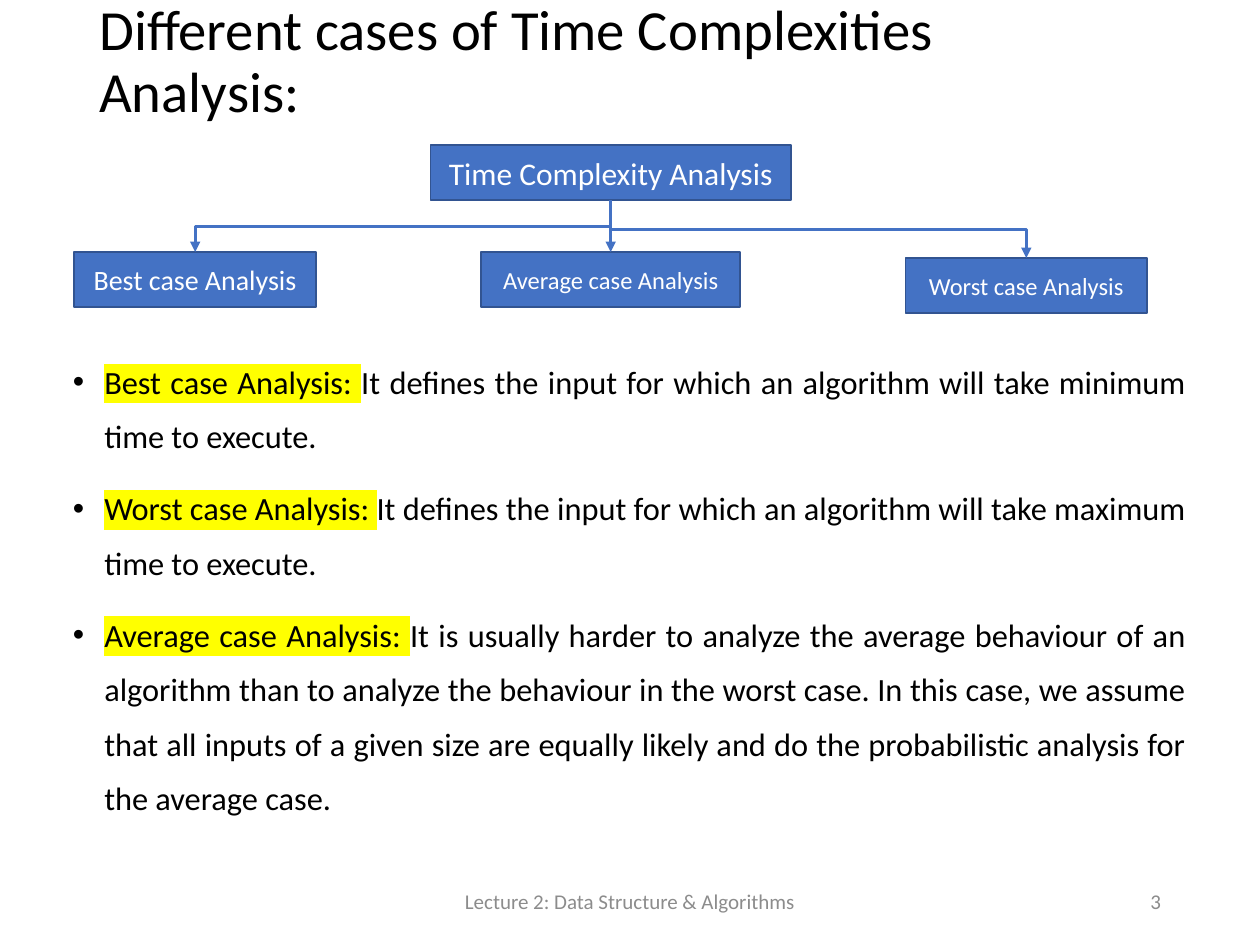
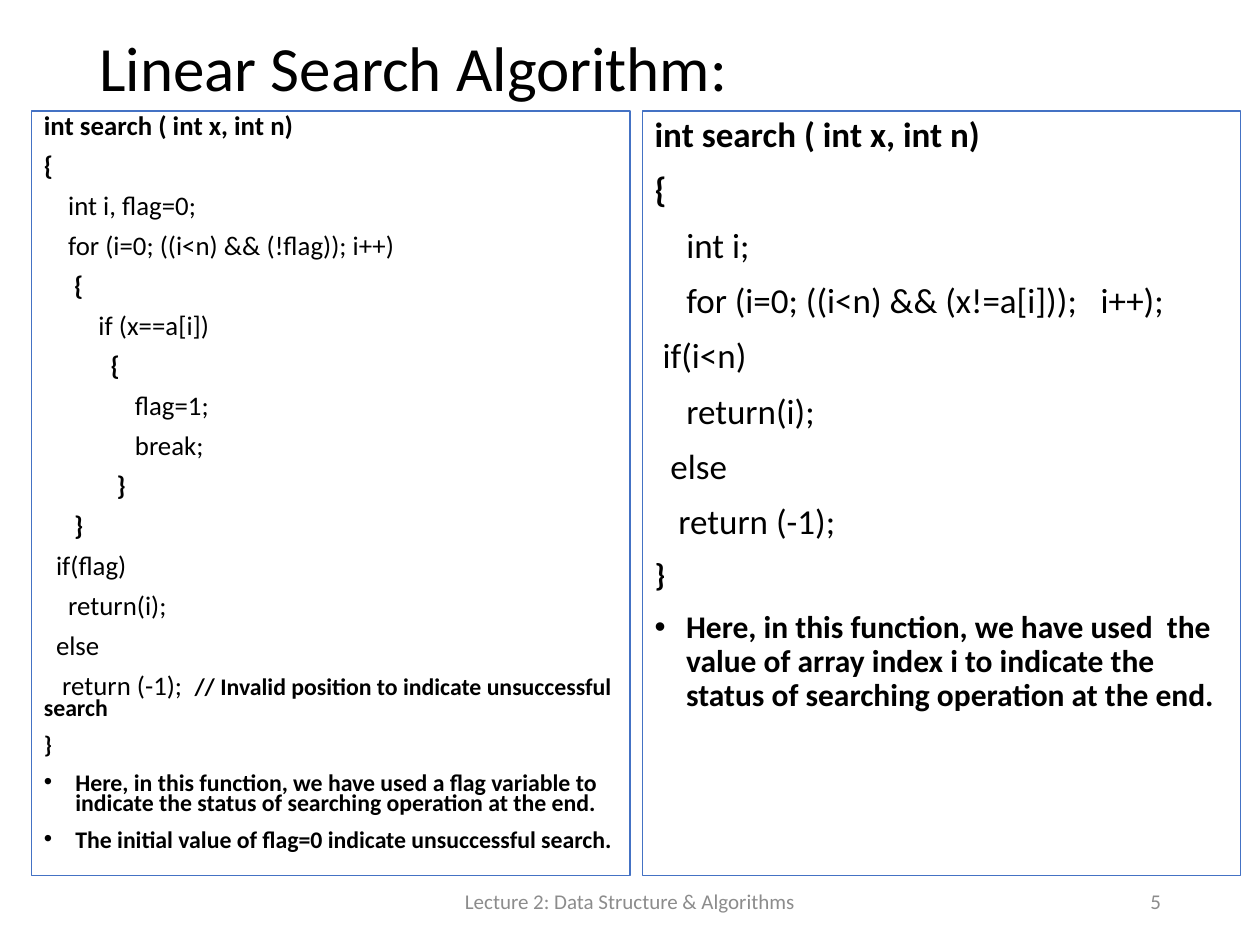
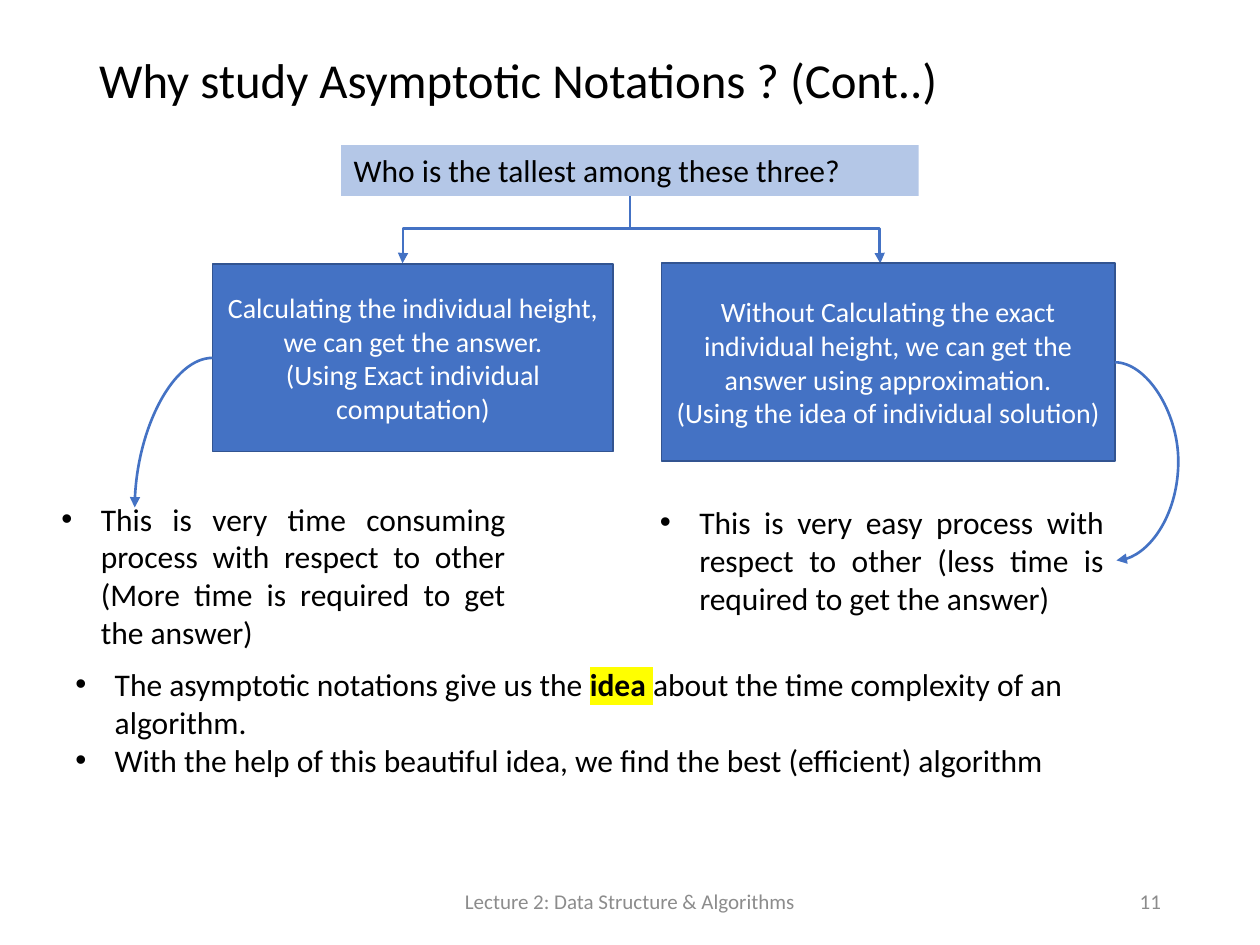
from dataclasses import dataclass
from typing import NamedTuple, Optional

from lxml.etree import SubElement
from pptx import Presentation
from pptx.dml.color import RGBColor
from pptx.enum.shapes import MSO_CONNECTOR, MSO_SHAPE
from pptx.enum.text import MSO_ANCHOR, MSO_AUTO_SIZE, PP_ALIGN
from pptx.oxml.ns import qn
from pptx.util import Pt

FONT = "Calibri"
BLACK = RGBColor(0x00, 0x00, 0x00)
WHITE = RGBColor(0xFF, 0xFF, 0xFF)
GRAY = RGBColor(0x8C, 0x8C, 0x8C)
BLUE = RGBColor(0x44, 0x72, 0xC4)
DARK_BLUE = RGBColor(0x32, 0x54, 0x91)
PALE_BLUE = RGBColor(0xB4, 0xC7, 0xE7)
YELLOW = RGBColor(0xFF, 0xFF, 0x00)
FOOTER = "Lecture 2: Data Structure & Algorithms"
TITLE_ONLY = 5
TOP, LEFT, BOTTOM, RIGHT = range(4)


class Box(NamedTuple):
    """Position and size in points."""
    x: float
    y: float
    w: float
    h: float


class Run(NamedTuple):
    """A piece of text with its own emphasis."""
    text: str
    bold: bool = False
    marked: bool = False
    size: Optional[float] = None


class Para(NamedTuple):
    """A paragraph made of runs."""
    runs: tuple
    bullet: bool = False


@dataclass(frozen=True)
class Style:
    """Look shared by the paragraphs of one text frame."""
    size: float
    color: RGBColor = BLACK
    align: PP_ALIGN = PP_ALIGN.LEFT
    anchor: MSO_ANCHOR = MSO_ANCHOR.TOP
    spacing: float = 1.0
    before: float = 0
    hang: float = 18


@dataclass(frozen=True)
class Node:
    """A filled box of a diagram."""
    box: Box
    lines: tuple
    size: float


@dataclass(frozen=True)
class Route:
    """A bent or curved arrow between two points."""
    begin: tuple
    end: tuple
    preset: str
    weight: float = 1.5
    upright: bool = False
    turn: Optional[float] = None


def plain(*texts, bold=False, bullet=False, size=None):
    """Make one single-run paragraph per text."""
    return [Para((Run(t, bold, size=size),), bullet) for t in texts]


def write(tf, paras, style: Style):
    """Fill a text frame run by run."""
    tf.word_wrap = True
    tf.auto_size = MSO_AUTO_SIZE.NONE
    tf.vertical_anchor = style.anchor
    for i, para in enumerate(paras):
        p = tf.paragraphs[0] if i == 0 else tf.add_paragraph()
        if para.bullet:
            pPr = p._p.get_or_add_pPr()
            pPr.set("marL", str(Pt(style.hang)))
            pPr.set("indent", str(-Pt(style.hang)))
            SubElement(pPr, qn("a:buFont")).set("typeface", "Arial")
            SubElement(pPr, qn("a:buChar")).set("char", "•")
        p.alignment = style.align
        p.line_spacing = style.spacing
        p.space_before = Pt(style.before if i else 0)
        for run in para.runs:
            r = p.add_run()
            r.text = run.text
            r.font.name = FONT
            r.font.size = Pt(run.size or style.size)
            r.font.bold = run.bold
            r.font.color.rgb = style.color
            if run.marked:
                rPr = r._r.get_or_add_rPr()
                mark = SubElement(rPr, qn("a:highlight"))
                SubElement(mark, qn("a:srgbClr")).set("val", str(YELLOW))
                rPr.find(qn("a:latin")).addprevious(mark)


def add_text(s, box: Box, paras, style: Style):
    """Add a wrapped text box."""
    sp = s.shapes.add_textbox(*map(Pt, box))
    write(sp.text_frame, paras, style)
    return sp


def add_rect(s, box: Box, paras, style: Style, fill=None, line=None, weight=1):
    """Add a rectangle holding text."""
    sp = s.shapes.add_shape(MSO_SHAPE.RECTANGLE, *map(Pt, box))
    sp.shadow.inherit = False
    if fill is None:
        sp.fill.background()
    else:
        sp.fill.solid()
        sp.fill.fore_color.rgb = fill
    if line is None:
        sp.line.fill.background()
    else:
        sp.line.color.rgb = line
        sp.line.width = Pt(weight)
    write(sp.text_frame, paras, style)
    return sp


def add_node(s, node: Node):
    """Add a blue diagram box."""
    style = Style(node.size, WHITE, PP_ALIGN.CENTER, MSO_ANCHOR.MIDDLE)
    return add_rect(s, node.box, plain(*node.lines), style, BLUE, DARK_BLUE)


def format_line(c, weight: float, arrow: bool = True):
    """Colour a connector and give it its arrowhead."""
    c.line.color.rgb = BLUE
    c.line.width = Pt(weight)
    if arrow:
        SubElement(c.line._get_or_add_ln(), qn("a:tailEnd")).set("type", "triangle")
    SubElement(c._element.spPr, qn("a:effectLst"))


def add_straight(s, begin, end, weight: float, arrow: bool = True):
    """Add a straight connector."""
    c = s.shapes.add_connector(MSO_CONNECTOR.STRAIGHT, *map(Pt, (*begin, *end)))
    format_line(c, weight, arrow)
    return c


def add_route(s, route: Route, start=None, stop=None):
    """Add a bent or curved arrow, joined to (shape, side) pairs."""
    (x1, y1), (x2, y2) = route.begin, route.end
    kind = MSO_CONNECTOR.CURVE if route.preset.startswith("curved") else MSO_CONNECTOR.ELBOW
    c = s.shapes.add_connector(kind, *map(Pt, (x1, y1, x2, y2)))
    if start:
        c.begin_connect(*start)
    if stop:
        c.end_connect(*stop)
    w, h = abs(x2 - x1), abs(y2 - y1)
    if route.upright:
        w, h = h, w
        rot, flip = (90, None) if x2 < x1 else (270, "flipH")
    else:
        rot, flip = (180, "flipV") if x2 < x1 else (0, None)
    c.left, c.top = Pt((x1 + x2 - w) / 2), Pt((y1 + y2 - h) / 2)
    c.width, c.height = Pt(w), Pt(h)
    xfrm = c._element.spPr.find(qn("a:xfrm"))
    for name in ("flipH", "flipV"):
        xfrm.attrib.pop(name, None)
    if rot:
        xfrm.set("rot", str(rot * 60000))
    if flip:
        xfrm.set(flip, "1")
    geom = c._element.spPr.find(qn("a:prstGeom"))
    geom.set("prst", route.preset)
    if route.turn is not None:
        guide = SubElement(geom.find(qn("a:avLst")), qn("a:gd"))
        guide.set("name", "adj1")
        guide.set("fmla", f"val {round(route.turn * 100000)}")
    format_line(c, route.weight)


def add_slide(prs, title: str, box: Box, size: float, number: int):
    """Add a slide with its title, footer and number."""
    s = prs.slides.add_slide(prs.slide_layouts[TITLE_ONLY])
    sp = s.shapes.title
    sp.left, sp.top, sp.width, sp.height = map(Pt, box)
    write(sp.text_frame, plain(title),
          Style(size, anchor=MSO_ANCHOR.MIDDLE, spacing=0.9))
    for text, x, w, align in ((FOOTER, 238.5, 243, PP_ALIGN.CENTER),
                              (str(number), 508.5, 162, PP_ALIGN.RIGHT)):
        add_text(s, Box(x, 500.5, w, 28.75), plain(text),
                 Style(12, GRAY, align, MSO_ANCHOR.MIDDLE))
    return s


def build_cases(prs):
    """Build the slide on the three cases of analysis."""
    s = add_slide(prs, "Different cases of Time Complexities Analysis:",
                  Box(49.5, 20, 606, 32), 32.4, 3)
    cases = (
        ("Best case Analysis: ",
         "It defines the input for which an algorithm will take minimum time to execute."),
        ("Worst case Analysis: ",
         "It defines the input for which an algorithm will take maximum time to execute."),
        ("Average case Analysis: ",
         "It is usually harder to analyze the average behaviour of an algorithm than to "
         "analyze the behaviour in the worst case. In this case, we assume that all inputs "
         "of a given size are equally likely and do the probabilistic analysis for the "
         "average case."),
    )
    add_text(s, Box(34.5, 194.5, 650, 292),
             [Para((Run(name, marked=True), Run(text)), True) for name, text in cases],
             Style(18.5, align=PP_ALIGN.JUSTIFY, spacing=1.4, before=10))
    root = add_node(s, Node(Box(246, 83, 206, 31.5), ("Time Complexity Analysis",), 18))
    best, average, worst = (
        Node(Box(42.5, 144, 138, 31.5), ("Best case Analysis",), 16),
        Node(Box(275, 144, 148, 31.5), ("Average case Analysis",), 14),
        Node(Box(517.5, 147.5, 138, 31.5), ("Worst case Analysis",), 14),
    )
    for node in (best, worst):
        leaf = add_node(s, node)
        route = Route((349, 114.5), (node.box.x + node.box.w / 2, node.box.y),
                      "bentConnector3", 1.75, True, 0.5)
        add_route(s, route, (root, BOTTOM), (leaf, TOP))
    leaf = add_node(s, average)
    c = add_straight(s, (349, 114.5), (349, 144), 1.75)
    c.begin_connect(root, BOTTOM)
    c.end_connect(leaf, TOP)


def build_search(prs):
    """Build the slide with two versions of linear search."""
    s = add_slide(prs, "Linear Search Algorithm:", Box(49.5, 18, 621, 45.5), 36, 5)
    head = "int search ( int x, int n)"
    flag_code = [
        *plain(head, "{", bold=True),
        *plain("    int i, flag=0;", "    for (i=0; ((i<n) && (!flag)); i++)"),
        *plain("     {", bold=True),
        *plain("         if (x==a[i])"),
        *plain("           {", bold=True),
        *plain("               flag=1;", "               break;"),
        *plain("            }", "     }", bold=True),
        *plain("  if(flag)", "    return(i);", "  else"),
        Para((Run("   return (-1);  "),
              Run("// Invalid position to indicate unsuccessful search", True, size=13.6))),
        *plain("}", bold=True, size=13.6),
        *plain("Here, in this function, we have used a flag variable to indicate the status "
               "of searching operation at the end.",
               "The initial value of flag=0 indicate unsuccessful search.",
               bold=True, bullet=True, size=13.6),
    ]
    index_code = [
        *plain(head, "{", bold=True),
        *plain("    int i;", "    for (i=0; ((i<n) && (x!=a[i]));   i++);", " if(i<n)",
               "    return(i);", "  else", "   return (-1);"),
        *plain("}", bold=True, size=18),
        *plain("Here, in this function, we have used  the value of array index i to indicate "
               "the status of searching operation at the end.",
               bold=True, bullet=True, size=18),
    ]
    panels = ((18, flag_code, Style(15.3, spacing=0.7, before=10)),
              (367, index_code, Style(20, spacing=0.9, before=10)))
    for x, code, style in panels:
        add_rect(s, Box(x, 63.5, 342, 437), code, style, line=BLUE, weight=0.75)


def build_notations(prs):
    """Build the slide on exact and approximate answers."""
    s = add_slide(prs, "Why study Asymptotic Notations ? (Cont..)",
                  Box(49.5, 27.5, 621, 39), 27.9, 11)
    question = add_rect(s, Box(195, 83, 330, 29), plain("Who is the tallest among these three?"),
                        Style(18), PALE_BLUE)
    stem = add_straight(s, (360, 112), (360, 130.5), 1.5, False)
    stem.begin_connect(question, BOTTOM)
    for x in (503, 230):
        add_route(s, Route((360, 130.5), (x, 150.5), "bentConnector3", turn=0.998))
    exact = add_node(s, Node(Box(121.5, 151, 229, 107), (
        "Calculating the individual height, we can get the answer.",
        "(Using Exact individual computation)"), 16))
    approximate = add_node(s, Node(Box(378, 150.5, 259, 113), (
        "Without Calculating the exact individual height, we can get the answer using "
        "approximation.",
        "(Using the idea of individual solution)"), 16))
    remark = Style(18, align=PP_ALIGN.JUSTIFY, hang=22.5)
    add_text(s, Box(28, 282, 268, 94.5),
             plain("This is very time consuming process with respect to other (More time is "
                   "required to get the answer)", bullet=True), remark)
    easy = add_text(s, Box(370, 284, 268, 72.5),
                    plain("This is very easy process with respect to other (less time is "
                          "required to get the answer)", bullet=True), remark)
    add_text(s, Box(36, 376.5, 628, 72.5), [
        Para((Run("The asymptotic notations give us the "), Run("idea ", True, True),
              Run("about the time complexity of an algorithm.")), True),
        *plain("With the help of this beautiful idea, we find the best (efficient) algorithm",
               bullet=True)], Style(18, hang=22.5))
    add_route(s, Route((121.5, 204.5), (77, 290), "curvedConnector2"), (exact, LEFT))
    add_route(s, Route((637, 207), (638, 320.25), "curvedConnector3", turn=36.6),
              (approximate, RIGHT), (easy, RIGHT))


def main():
    """Build and save the slides."""
    prs = Presentation()
    prs.slide_width, prs.slide_height = Pt(720), Pt(540)
    build_cases(prs)
    build_search(prs)
    build_notations(prs)
    prs.save("out.pptx")


if __name__ == "__main__":
    main()
